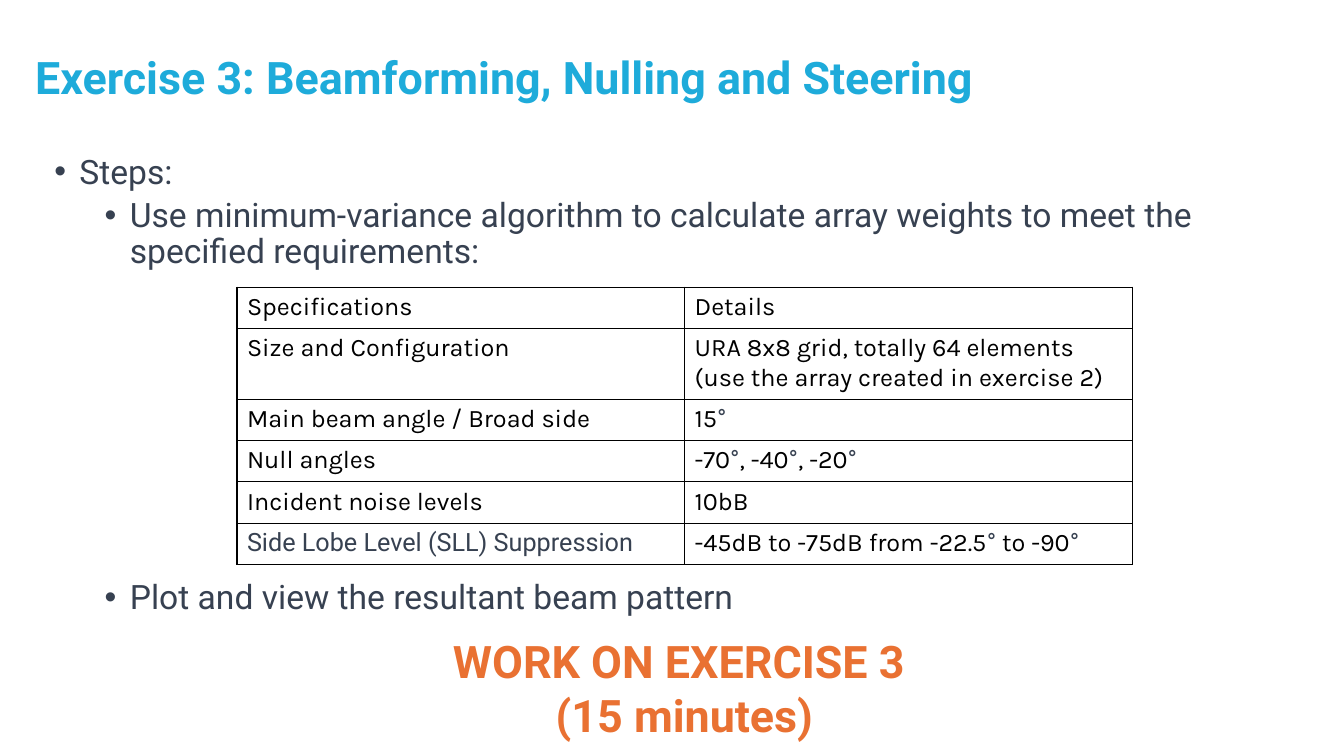
"""Build the Exercise 3 slide on beamforming, nulling and steering."""
import itertools

import pptx
import pptx.dml.color
import pptx.enum.text
import pptx.oxml
import pptx.oxml.ns
import pptx.util

Inches, Pt = pptx.util.Inches, pptx.util.Pt
ALIGN = pptx.enum.text.PP_ALIGN
ANCHOR = pptx.enum.text.MSO_ANCHOR

TITLE = "Exercise 3: Beamforming, Nulling and Steering"
STEPS = [
    ("Steps:", 0),
    ("Use minimum-variance algorithm to calculate array weights "
     "to meet the specified requirements:", 1),
]
LAST_STEP = [("Plot and view the resultant beam pattern", 1)]
CALL = ["WORK ON EXERCISE 3 ", "(15 minutes)"]
SPECS = [
    ("Specifications", "Details"),
    ("Size and Configuration",
     "URA 8x8 grid, totally 64 elements\n(use the array created in exercise 2)"),
    ("Main beam angle / Broad side", "15°"),
    ("Null angles", "-70°, -40°, -20°"),
    ("Incident noise levels", "10bB"),
    ("Side Lobe Level (SLL) Suppression", "-45dB to -75dB from -22.5° to -90°"),
]
ROBOTO_LABEL = SPECS[-1][0]
ROW_H, LINE_H, COL_W = 0.41, 0.28, 4.44
SLATE, BLUE, ORANGE, BLACK = "374151", "1EABDA", "E97132", "000000"


def color(value):
    return pptx.dml.color.RGBColor.from_string(value)


def style(font, size, name, value, bold=False):
    font.size, font.name, font.bold = Pt(size), name, bold
    font.color.rgb = color(value)


def add_text(s, box, lines, anchor=ANCHOR.TOP):
    tf = s.shapes.add_textbox(*map(Inches, box)).text_frame
    tf.word_wrap = True
    tf.vertical_anchor = anchor
    tf.text = "\n".join(lines)
    return tf.paragraphs


def add_bullets(s, box, steps):
    paragraphs = add_text(s, box, [text for text, level in steps])
    for i, (p, (text, level)) in enumerate(zip(paragraphs, steps)):
        p.level = level
        p.line_spacing = 0.9
        p.space_before = Pt(5 if i else 0)
        pPr = p._p.get_or_add_pPr()
        pPr.set("marL", str(Inches(0.25 + 0.5 * level)))
        pPr.set("indent", str(Inches(-0.25)))
        ns = pptx.oxml.ns.nsdecls("a")
        pPr.append(pptx.oxml.parse_xml(f'<a:buFont {ns} typeface="Arial"/>'))
        pPr.append(pptx.oxml.parse_xml(f'<a:buChar {ns} char="•"/>'))
        style(p.runs[0].font, 24, "Roboto", SLATE)


def add_borders(cell):
    tcPr = cell._tc.get_or_add_tcPr()
    for i, side in enumerate(("lnL", "lnR", "lnT", "lnB")):
        tcPr.insert(i, pptx.oxml.parse_xml(
            f'<a:{side} {pptx.oxml.ns.nsdecls("a")} w="{Pt(1)}"><a:solidFill>'
            f'<a:srgbClr val="{BLACK}"/></a:solidFill></a:{side}>'))


def fill_cell(cell, text):
    cell.fill.background()
    add_borders(cell)
    tf = cell.text_frame
    for i, line in enumerate(text.split("\n")):
        p = tf.add_paragraph() if i else tf.paragraphs[0]
        for is_degree, part in itertools.groupby(line, lambda ch: ch == "°"):
            r = p.add_run()
            r.text = "".join(part)
            if is_degree or text == ROBOTO_LABEL:
                style(r.font, 18, "Roboto", SLATE)
            else:
                style(r.font, 18, "Karla", BLACK)


def add_specs(s):
    heights = [ROW_H + LINE_H * details.count("\n") for label, details in SPECS]
    frame = s.shapes.add_table(len(SPECS), 2, Inches(2.35), Inches(2.85),
                               Inches(2 * COL_W), Inches(sum(heights)))
    table = frame.table
    table.first_row = table.horz_banding = False
    for column in table.columns:
        column.width = Inches(COL_W)
    for row, height, texts in zip(table.rows, heights, SPECS):
        row.height = Inches(height)
        for cell, text in zip(row.cells, texts):
            fill_cell(cell, text)


def main():
    prs = pptx.Presentation()
    prs.slide_width, prs.slide_height = Inches(13.33), Inches(7.5)
    s = prs.slides.add_slide(prs.slide_layouts[6])

    title = add_text(s, (0.25, 0.38, 12.43, 0.82), [TITLE], ANCHOR.MIDDLE)[0]
    title.line_spacing = 0.9
    style(title.runs[0].font, 32, "Roboto", BLUE, True)

    add_bullets(s, (0.44, 1.49, 11.5, 1.3), STEPS)
    add_specs(s)
    add_bullets(s, (0.44, 5.71, 11.5, 0.5), LAST_STEP)

    for p in add_text(s, (4.12, 6.24, 5.34, 1.18), CALL):
        p.alignment = ALIGN.CENTER
        style(p.runs[0].font, 32, "Roboto", ORANGE, True)

    prs.save("out.pptx")


if __name__ == "__main__":
    main()
